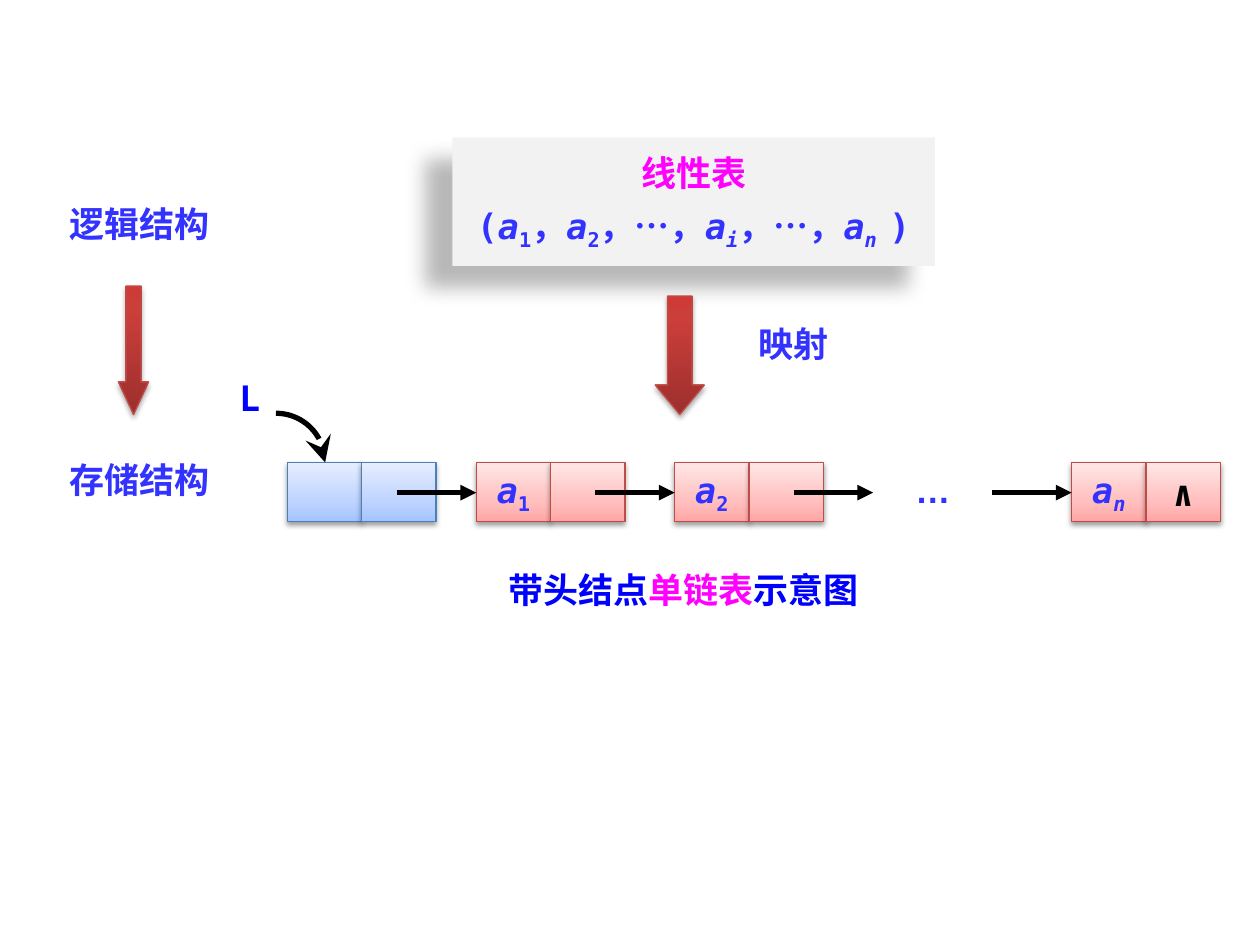
import math

from pptx import Presentation
from pptx import util as u
from pptx.dml.color import RGBColor
from pptx.enum import shapes, text
from pptx.oxml import parse_xml
from pptx.oxml.ns import nsdecls, qn

MONO, CJK, ARIAL = "DejaVu Sans Mono", "Noto Sans CJK SC", "Arial"
BLACK = RGBColor(0, 0, 0)
BLUE = RGBColor(0x33, 0x33, 0xFF)
PURE_BLUE = RGBColor(0, 0, 0xFF)
MAGENTA = RGBColor(0xFF, 0, 0xFF)
PANEL = RGBColor(0xF2, 0xF2, 0xF2)
RED_LINE = RGBColor(0xBF, 0x4C, 0x48)
BLUE_LINE = RGBColor(0x4B, 0x7E, 0xBC)

# Gradients run upwards: (percent, colour)
DARK_RED = [(0, RGBColor(0x9C, 0x2F, 0x2D)), (80, RGBColor(0xCB, 0x3E, 0x3A)),
            (100, RGBColor(0xCE, 0x3B, 0x37))]
PINK = [(0, RGBColor(0xFF, 0xA6, 0xA5)), (35, RGBColor(0xFF, 0xC0, 0xBF)),
        (100, RGBColor(0xFF, 0xE7, 0xE7))]
PALE_BLUE = [(0, RGBColor(0xA4, 0xC4, 0xFF)), (35, RGBColor(0xBF, 0xD4, 0xFF)),
             (100, RGBColor(0xE6, 0xEE, 0xFF))]

# Node row: an arrow is one unit long, nodes repeat every 2.5 units
UNIT = 0.63
PITCH = 2.5 * UNIT
FIRST_NODE = 6 * UNIT
CELL_W, CELL_H, ROW_Y = 0.59, 0.47, 3.67
ARROW_Y = 3.91


def run(words, color=BLUE, font=MONO, italic=False, sub=False):
    return words, color, font, italic, sub


def variable(index, italic=False):
    return [run("a", italic=True), run(index, italic=italic, sub=True)]


def write(s, paragraphs, align=text.PP_ALIGN.CENTER):
    tf = s.text_frame
    for i, runs in enumerate(paragraphs):
        p = tf.add_paragraph() if i else tf.paragraphs[0]
        p.alignment = align
        if i:
            p.space_before = u.Pt(6)
        for words, color, font, italic, sub in runs:
            r = p.add_run()
            r.text = words
            r.font.name, r.font.size = font, u.Pt(20)
            r.font.bold, r.font.italic = True, italic
            r.font.color.rgb = color
            rpr = r._r.get_or_add_rPr()
            rpr.find(qn("a:latin")).addnext(
                parse_xml(f'<a:ea {nsdecls("a")} typeface="{CJK}"/>'))
            if sub:
                rpr.set("baseline", "-25000")


def add_label(slide, x, y, w, h, runs, align=text.PP_ALIGN.CENTER):
    s = slide.shapes.add_textbox(*map(u.Inches, (x, y, w, h)))
    s.text_frame.word_wrap = True
    s.text_frame.auto_size = text.MSO_AUTO_SIZE.SHAPE_TO_FIT_TEXT
    write(s, [runs], align)


def add_shadow(s, alpha, blur, dist, angle):
    s.shadow.inherit = False
    s._element.spPr.find(qn("a:effectLst")).append(parse_xml(
        f'<a:outerShdw {nsdecls("a")} blurRad="{u.Pt(blur)}" dist="{u.Pt(dist)}" '
        f'dir="{angle * 60000}" algn="ctr" rotWithShape="0"><a:srgbClr val="000000">'
        f'<a:alpha val="{alpha * 1000}"/></a:srgbClr></a:outerShdw>'))


def add_gradient_shape(slide, kind, x, y, w, h, stops, line, shadow):
    s = slide.shapes.add_shape(kind, *map(u.Inches, (x, y, w, h)))
    s.fill.gradient()
    s.fill.gradient_angle = 90
    gs_list = s._element.spPr.find(".//" + qn("a:gsLst"))
    for gs in list(gs_list):
        gs_list.remove(gs)
    for pos, color in stops:
        gs_list.append(parse_xml(
            f'<a:gs {nsdecls("a")} pos="{pos * 1000}"><a:srgbClr val="{color}"/></a:gs>'))
    s.line.color.rgb, s.line.width = line, u.Pt(0.75)
    add_shadow(s, *shadow)
    return s


def add_down_arrow(slide, x, y, w, h, head):
    s = add_gradient_shape(slide, shapes.MSO_SHAPE.DOWN_ARROW, x, y, w, h,
                           DARK_RED, RED_LINE, (35, 3.1, 1.8, 90))
    s.adjustments[0], s.adjustments[1] = 0.5, head


def add_node(slide, x, stops, line, data=None, link=None):
    for col, runs in enumerate((data, link)):
        s = add_gradient_shape(slide, shapes.MSO_SHAPE.RECTANGLE, x + col * CELL_W,
                               ROW_Y, CELL_W, CELL_H, stops, line, (38, 3.1, 1.6, 90))
        if runs:
            s.text_frame.word_wrap = False
            s.text_frame.vertical_anchor = text.MSO_ANCHOR.MIDDLE
            write(s, [runs])


def style_arrow(s, head, size):
    s.line.color.rgb, s.line.width = BLACK, u.Pt(3)
    s._element.spPr.find(qn("a:ln")).append(parse_xml(
        f'<a:tailEnd {nsdecls("a")} type="{head}" w="{size}" len="{size}"/>'))


def add_link(slide, x):
    s = slide.shapes.add_connector(shapes.MSO_CONNECTOR.STRAIGHT,
                                   *map(u.Inches, (x, ARROW_Y, x + UNIT, ARROW_Y)))
    style_arrow(s, "triangle", "med")
    s._element.spPr.append(parse_xml(f'<a:effectLst {nsdecls("a")}/>'))


def add_quarter_arrow(slide, cx, cy, radius, steps=24):
    turns = [math.pi / 2 * i / steps for i in range(steps + 1)]
    points = [(u.Inches(cx + radius * math.sin(t)), u.Inches(cy - radius * math.cos(t)))
              for t in turns]
    builder = slide.shapes.build_freeform(*points[0])
    builder.add_line_segments(points[1:], close=False)
    s = builder.convert_to_shape()
    s.fill.background()
    s.shadow.inherit = False
    style_arrow(s, "stealth", "lg")


def add_list_panel(slide):
    s = slide.shapes.add_shape(shapes.MSO_SHAPE.RECTANGLE,
                               *map(u.Inches, (3.59, 1.09, 3.83, 1.02)))
    s.fill.solid()
    s.fill.fore_color.rgb = PANEL
    s.line.fill.background()
    add_shadow(s, 28, 11.8, 19.7, 141)
    s.text_frame.word_wrap = False
    s.text_frame.vertical_anchor = text.MSO_ANCHOR.MIDDLE
    comma, dots = run("，"), run("…", font=ARIAL)
    write(s, [[run("线性表", MAGENTA)],
              [run("("), *variable("1"), comma, *variable("2"), comma, dots, comma,
               *variable("i", True), comma, dots, comma, *variable("n ", True), run(")")]])


def main():
    prs = Presentation()
    prs.slide_width, prs.slide_height = u.Inches(10), u.Inches(7.5)
    slide = prs.slides.add_slide(prs.slide_layouts[6])

    # Logical structure and its mapping
    add_list_panel(slide)
    add_down_arrow(slide, 5.2, 2.35, 0.39, 0.94, 0.6)
    add_label(slide, 5.75, 2.51, 1.09, 0.43, [run("映射")])

    # Left column: from logical to storage structure
    for y, words in ((1.56, "逻辑结构"), (3.59, "存储结构")):
        add_label(slide, 0.16, y, 1.89, 0.44, [run(words)])
    add_down_arrow(slide, 0.94, 2.27, 0.24, 1.02, 1.08)

    # Linked list: head node, then data nodes by pitch
    add_node(slide, 2.28, PALE_BLUE, BLUE_LINE)
    nodes = ((0, variable("1"), None), (1, variable("2"), None),
             (3, variable("n", True), [run("∧", BLACK)]))
    for col, data, link in nodes:
        add_node(slide, FIRST_NODE + col * PITCH, PINK, RED_LINE, data, link)
    add_label(slide, 7.09, ROW_Y, UNIT, 0.44, [run("…", font=ARIAL)])

    # Pointers
    add_quarter_arrow(slide, 2.19, ROW_Y, 0.39)
    add_label(slide, 1.8, 2.94, 0.47, 0.44, [run("L", PURE_BLUE)], text.PP_ALIGN.LEFT)
    for col in range(4):
        add_link(slide, FIRST_NODE - UNIT + col * PITCH)

    # Caption
    add_label(slide, 3.59, 4.46, 3.67, 0.44,
              [run("带头结点", PURE_BLUE, CJK), run("单链表", MAGENTA, CJK),
               run("示意图", PURE_BLUE, CJK)])

    prs.save("out.pptx")


if __name__ == "__main__":
    main()
